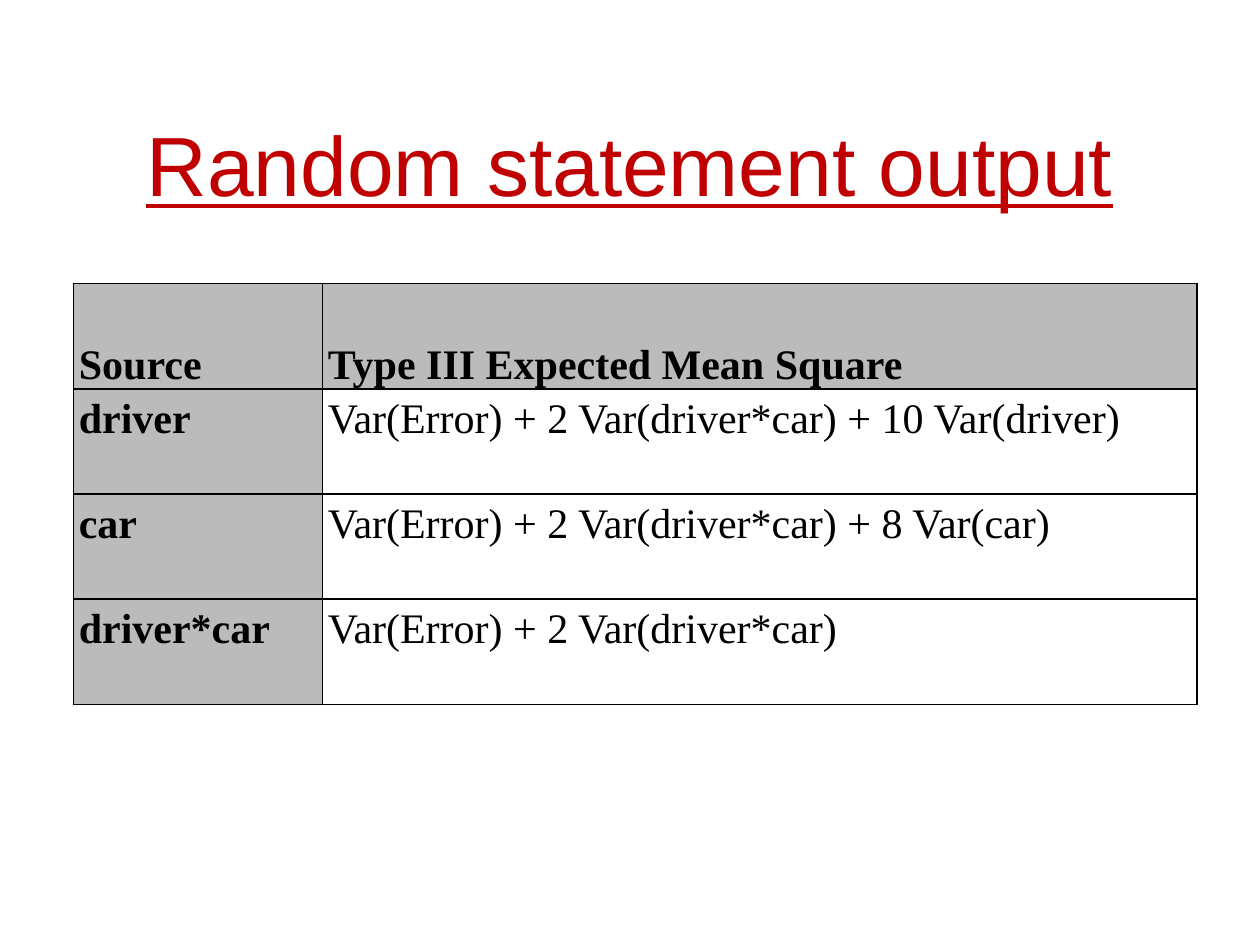
from dataclasses import dataclass

from lxml import etree
from pptx import Presentation
from pptx.dml.color import RGBColor
from pptx.enum.text import MSO_ANCHOR, PP_ALIGN
from pptx.oxml.ns import qn
from pptx.util import Cm, Pt

COLORS = {"title": "C00000", "text": "000000", "border": "000000",
          "shaded": "BBBBBB", "plain": "FFFFFF"}
COLUMN_WIDTHS = (Cm(5.02), Cm(17.63))
ROW_HEIGHT = Cm(2.12)


@dataclass
class MeanSquare:
    source: str
    expected: str
    header: bool = False


ROWS = [
    MeanSquare("Source", "Type III Expected Mean Square", header=True),
    MeanSquare("driver", "Var(Error) + 2 Var(driver*car) + 10 Var(driver)"),
    MeanSquare("car", "Var(Error) + 2 Var(driver*car) + 8 Var(car)"),
    MeanSquare("driver*car", "Var(Error) + 2 Var(driver*car)"),
]


def add_run(paragraph, text: str, font: str, size: int, color: str):
    run = paragraph.add_run()
    run.text = text
    run.font.name = font
    run.font.size = Pt(size)
    run.font.color.rgb = RGBColor.from_string(COLORS[color])
    return run


def add_borders(cell) -> None:
    properties = cell._tc.get_or_add_tcPr()
    for position, side in enumerate(("lnL", "lnR", "lnT", "lnB")):
        line = etree.Element(qn(f"a:{side}"), w=str(Pt(1)))
        fill = etree.SubElement(line, qn("a:solidFill"))
        etree.SubElement(fill, qn("a:srgbClr"), val=COLORS["border"])
        properties.insert(position, line)


def fill_cell(cell, text: str, shaded: bool, header: bool) -> None:
    cell.margin_left = cell.margin_right = Cm(0.11)
    cell.margin_top = cell.margin_bottom = 0
    cell.vertical_anchor = MSO_ANCHOR.BOTTOM if header else MSO_ANCHOR.TOP
    cell.fill.solid()
    cell.fill.fore_color.rgb = RGBColor.from_string(
        COLORS["shaded" if shaded else "plain"])
    add_borders(cell)
    paragraph = cell.text_frame.paragraphs[0]
    paragraph.line_spacing = 1.15
    paragraph.space_before = paragraph.space_after = Pt(3)
    add_run(paragraph, text, "Times New Roman", 24, "text").font.bold = shaded


def add_title(slide, text: str) -> None:
    box = slide.shapes.add_textbox(Cm(1.9), Cm(1.7), Cm(21.59), Cm(3.18))
    frame = box.text_frame
    frame.word_wrap = True
    frame.vertical_anchor = MSO_ANCHOR.MIDDLE
    paragraph = frame.paragraphs[0]
    paragraph.alignment = PP_ALIGN.CENTER
    add_run(paragraph, text, "Arial", 48, "title").font.underline = True


def add_mean_square_table(slide, rows: list[MeanSquare]) -> None:
    table = slide.shapes.add_table(
        len(rows), len(COLUMN_WIDTHS), Cm(1.48), Cm(5.72),
        sum(COLUMN_WIDTHS), ROW_HEIGHT * len(rows)).table
    table.horz_banding = False
    table.first_row = False
    for column, width in zip(table.columns, COLUMN_WIDTHS):
        column.width = width
    for table_row, row in zip(table.rows, rows):
        table_row.height = ROW_HEIGHT
        source_cell, expected_cell = table_row.cells
        fill_cell(source_cell, row.source, True, row.header)
        fill_cell(expected_cell, row.expected, row.header, row.header)


# Slide
presentation = Presentation()
presentation.slide_width = Cm(25.4)
presentation.slide_height = Cm(19.05)
slide = presentation.slides.add_slide(presentation.slide_layouts[6])

# Title and table
add_title(slide, "Random statement output")
add_mean_square_table(slide, ROWS)

presentation.save("out.pptx")
